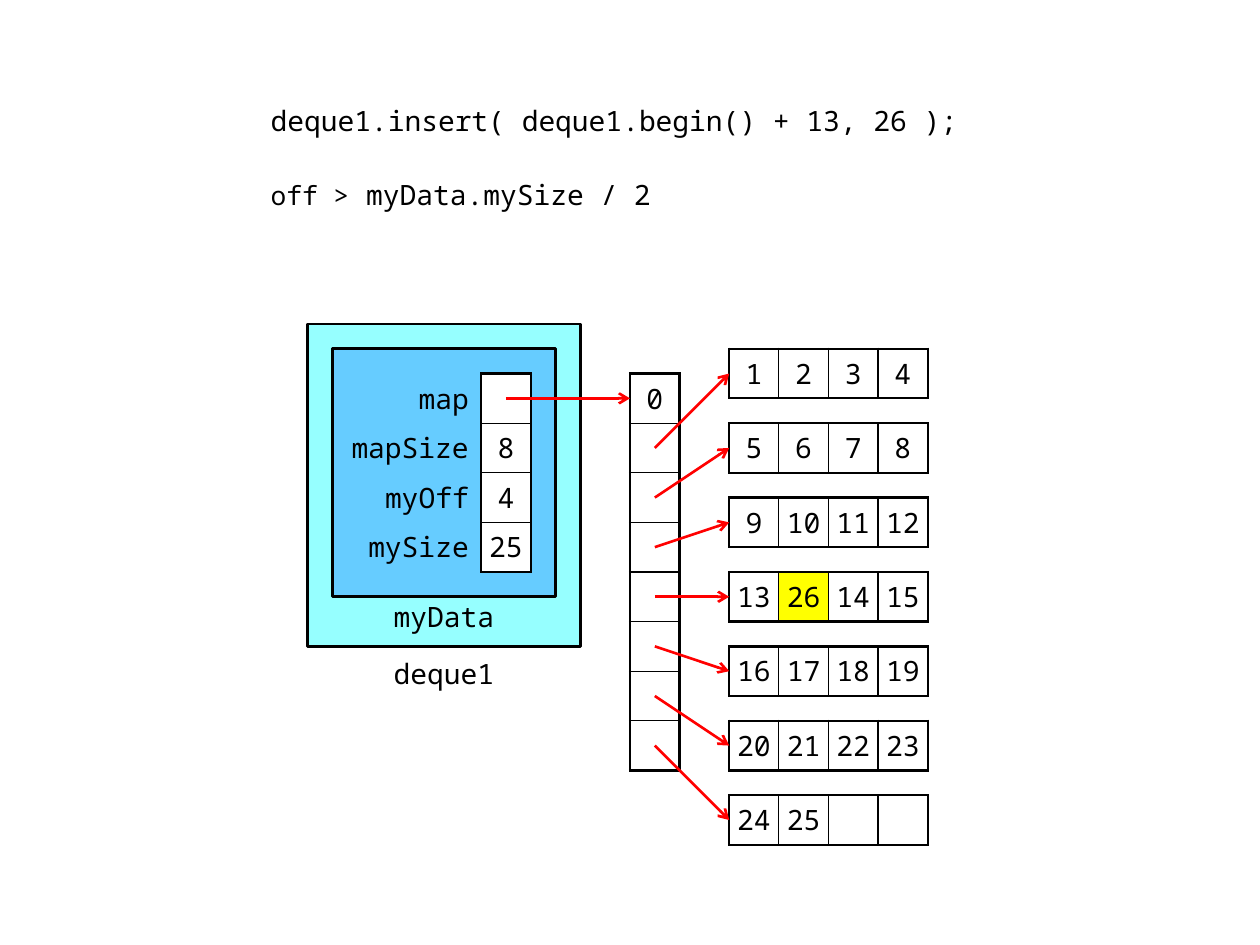
from pptx import Presentation
from pptx.dml.color import RGBColor
from pptx.enum.shapes import MSO_CONNECTOR as Link, MSO_SHAPE as Shape
from pptx.enum.text import MSO_ANCHOR as Anchor, MSO_AUTO_SIZE as AutoSize, PP_ALIGN as Align
from pptx.oxml.ns import qn
from pptx.util import Cm, Pt
from lxml.etree import SubElement

BLACK = RGBColor(0x00, 0x00, 0x00)
WHITE = RGBColor(0xFF, 0xFF, 0xFF)
RED = RGBColor(0xFF, 0x00, 0x00)
YELLOW = RGBColor(0xFF, 0xFF, 0x00)
CYAN = RGBColor(0x96, 0xFF, 0xFF)
BLUE = RGBColor(0x66, 0xCC, 0xFF)

FONT = "Noto Sans Mono"
NO_STYLE = "{2D5ABB26-0587-4C30-8999-92F81FD0307C}"
THICK, THIN = 1.5, 0.75
BLOCK_SIZE, BLOCK_PITCH = 4, 1.5
INSERTED = "26"
MEMBERS = [("map", ""), ("mapSize", "8"), ("myOff", "4"), ("mySize", "25")]
MAP_SLOTS = ["0"] + [""] * 7
ELEMENTS = [str(n) for n in range(1, 14)] + [INSERTED] + [str(n) for n in range(14, 26)]


def write(paragraph, text, size=16, align=Align.CENTER, color=BLACK):
    """Add a formatted run to a paragraph."""
    paragraph.alignment = align
    run = paragraph.add_run()
    run.text = text
    run.font.name = FONT
    run.font.size = Pt(size)
    run.font.color.rgb = color


def set_borders(cell, **widths):
    """Draw black borders on the sides L, R, T and B, with widths in points."""
    cell_properties = cell._tc.get_or_add_tcPr()
    for side, width in widths.items():
        border = SubElement(cell_properties, qn(f"a:ln{side}"), w=str(Pt(width)))
        fill = SubElement(border, qn("a:solidFill"))
        SubElement(fill, qn("a:srgbClr"), val=str(BLACK))


def add_grid(slide, left, top, rows, label_width=0):
    """Place a table of 1 cm cells; a label width makes the first column unframed labels."""
    row_count, column_count = len(rows), len(rows[0])
    first = 1 if label_width else 0
    widths = [label_width] * first + [1] * (column_count - first)
    table = slide.shapes.add_table(row_count, column_count, Cm(left), Cm(top),
                                   Cm(sum(widths)), Cm(row_count)).table
    table.first_row = table.horz_banding = False
    table._tbl.tblPr.find(qn("a:tableStyleId")).text = NO_STYLE
    for column, width in zip(table.columns, widths):
        column.width = Cm(width)
    for r, values in enumerate(rows):
        table.rows[r].height = Cm(1)
        for c, value in enumerate(values):
            cell = table.cell(r, c)
            is_label = c < first
            cell.vertical_anchor = Anchor.MIDDLE
            cell.margin_top = cell.margin_bottom = Cm(0.1)
            cell.margin_left = cell.margin_right = Cm(0.25 if is_label else 0.1)
            if value:
                write(cell.text_frame.paragraphs[0], value,
                      align=Align.RIGHT if is_label else Align.CENTER)
            if is_label:
                cell.fill.background()
                continue
            set_borders(cell,
                        L=THICK if c == first else THIN,
                        R=THICK if c == column_count - 1 else THIN,
                        T=THICK if r == 0 else THIN,
                        B=THICK if r == row_count - 1 else THIN)
            cell.fill.solid()
            cell.fill.fore_color.rgb = YELLOW if value == INSERTED else WHITE


def add_frame(slide, left, top, width, height, color):
    """Place a filled box with a black outline."""
    frame = slide.shapes.add_shape(Shape.FLOWCHART_PROCESS, Cm(left), Cm(top), Cm(width), Cm(height))
    frame.shadow.inherit = False
    frame.fill.solid()
    frame.fill.fore_color.rgb = color
    frame.line.color.rgb = BLACK
    frame.line.width = Pt(THICK)


def add_label(slide, left, top, width, text, anchor, inset):
    """Place a centred caption 1 cm high."""
    caption = slide.shapes.add_textbox(Cm(left), Cm(top), Cm(width), Cm(1)).text_frame
    caption.word_wrap = True
    caption.vertical_anchor = anchor
    caption.margin_left = caption.margin_right = Cm(0.2)
    caption.margin_top, caption.margin_bottom = Cm(inset), 0
    write(caption.paragraphs[0], text)


def add_pointer(slide, start_x, start_y, end_x, end_y):
    """Draw a red arrow from a cell to what it points at."""
    pointer = slide.shapes.add_connector(Link.STRAIGHT, Cm(start_x), Cm(start_y), Cm(end_x), Cm(end_y))
    pointer.line.color.rgb = RED
    pointer.line.width = Pt(THICK)
    SubElement(pointer.line._get_or_add_ln(), qn("a:tailEnd"), type="arrow")
    SubElement(pointer._element.spPr, qn("a:effectLst"))


def add_code(slide, left, top, width, height):
    """Set the statement and its condition in the body placeholder."""
    slide.shapes.title._element.getparent().remove(slide.shapes.title._element)
    body = slide.placeholders[1]
    body.left, body.top, body.width, body.height = Cm(left), Cm(top), Cm(width), Cm(height)
    code = body.text_frame
    code.auto_size = AutoSize.NONE
    code.vertical_anchor = Anchor.TOP
    statement, condition = code.paragraphs[0], code.add_paragraph()
    write(statement, "deque1.insert( deque1.begin() + 13, 26 );", align=Align.LEFT)
    write(condition, "off >", size=15, align=Align.LEFT)
    write(condition, " myData.mySize / 2", align=Align.LEFT)
    for line, gap in ((statement, 3), (condition, 25)):
        line.space_before = Pt(gap)
        line.line_spacing = 0.9
        properties = line._p.get_or_add_pPr()
        properties.set("marL", "0")
        properties.set("indent", "0")
        SubElement(properties, qn("a:buNone"))


def add_deque(slide, left, top):
    """Place the deque object with its nested data members."""
    add_frame(slide, left, top, 5.5, 6.5, CYAN)
    add_frame(slide, left + 0.5, top + 0.5, 4.5, 5, BLUE)
    add_label(slide, left + 1, top + 6.5, 3.5, "deque1", Anchor.MIDDLE, 0.1)
    add_label(slide, left + 1.5, top + 5.5, 2.5, "myData", Anchor.TOP, 0.05)
    add_grid(slide, left + 0.5, top + 1, MEMBERS, label_width=3)


def add_blocks(slide, left, top):
    """Place the element blocks one below another."""
    for i in range(0, len(ELEMENTS), BLOCK_SIZE):
        block = ELEMENTS[i:i + BLOCK_SIZE]
        block += [""] * (BLOCK_SIZE - len(block))
        add_grid(slide, left, top + i // BLOCK_SIZE * BLOCK_PITCH, [block])


def add_diagram(slide, left, top):
    """Place the deque, its map and its blocks, joined by pointers."""
    map_left, map_top = left + 6.5, top + 1
    blocks_left, blocks_top = left + 8.5, top + 0.5
    add_deque(slide, left, top)
    add_grid(slide, map_left, map_top, [[slot] for slot in MAP_SLOTS])
    add_blocks(slide, blocks_left, blocks_top)
    add_pointer(slide, left + 4, map_top + 0.5, map_left, map_top + 0.5)
    for i in range(1, len(MAP_SLOTS)):
        add_pointer(slide, map_left + 0.5, map_top + i + 0.5,
                    blocks_left, blocks_top + (i - 1) * BLOCK_PITCH + 0.5)


def main():
    """Build the slide and save it."""
    deck = Presentation()
    deck.slide_width, deck.slide_height = Cm(25.4), Cm(19.05)
    slide = deck.slides.add_slide(deck.slide_layouts[1])
    add_code(slide, 5.2, 2.03, 15, 2.5)
    add_diagram(slide, 6.2, 6.53)
    deck.save("out.pptx")


if __name__ == "__main__":
    main()
